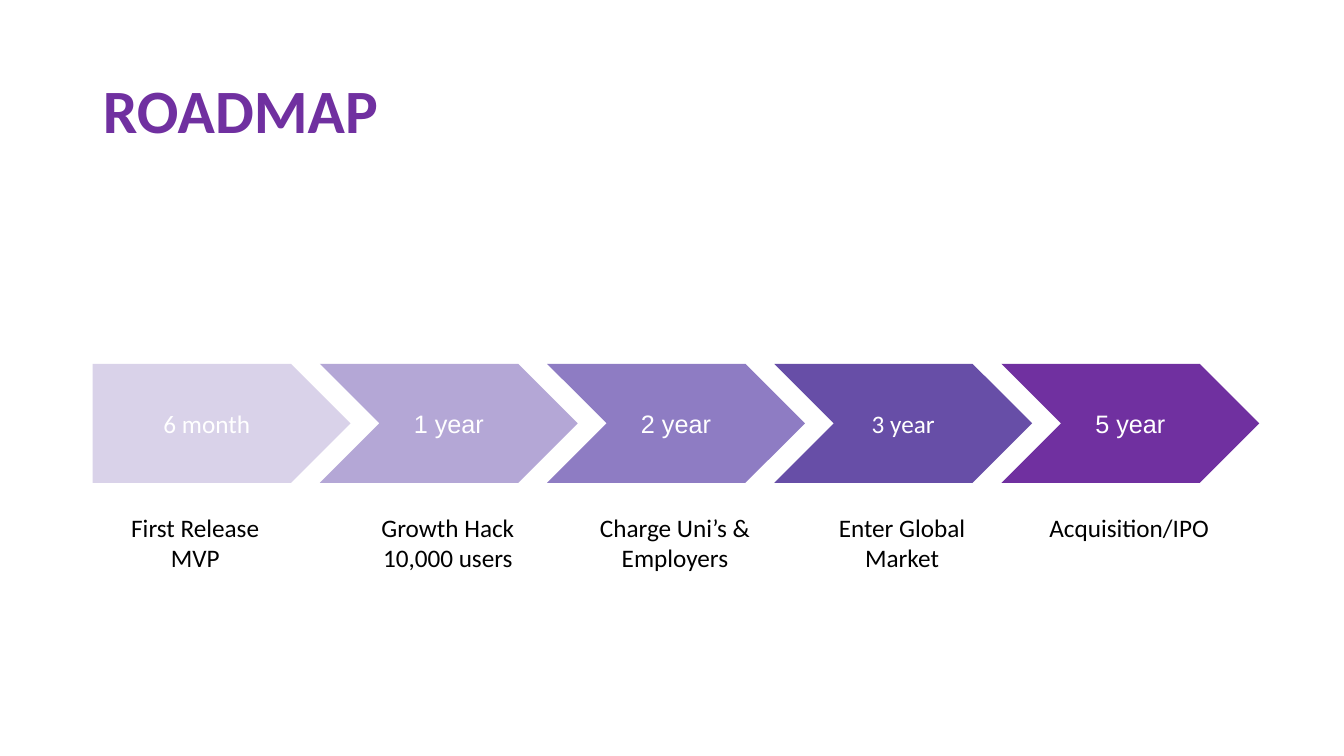
import pptx
import pptx.dml.color
import pptx.enum.shapes
import pptx.enum.text
import pptx.util

WIDTH, HEIGHT = 13.33, 7.5
COLORS = {
    "white": "FFFFFF",
    "black": "000000",
    "month 6": "D9D2E9",
    "year 1": "B4A7D6",
    "year 2": "8E7CC3",
    "year 3": "674EA7",
    "year 5": "7030A0",
}
STAGES = [
    ("6 month", "Calibri", "month 6", ["First Release", "MVP"]),
    ("1 year", "Arial", "year 1", ["Growth Hack", "10,000 users"]),
    ("2 year", "Arial", "year 2", ["Charge Uni’s & Employers"]),
    ("3 year", "Calibri", "year 3", ["Enter Global", "Market"]),
    ("5 year", "Arial", "year 5", ["Acquisition/IPO"]),
]
ALIGN = pptx.enum.text.PP_ALIGN
ANCHOR = pptx.enum.text.MSO_ANCHOR
SHAPE = pptx.enum.shapes.MSO_SHAPE


def inches(box):
    """Convert a box in inches to slide lengths."""
    return [pptx.util.Inches(length) for length in box]


def color(name):
    """Look up a named color."""
    return pptx.dml.color.RGBColor.from_string(COLORS[name])


def write(shape, lines, font="Calibri", size=18, fill="black", bold=False,
          align=ALIGN.CENTER, anchor=ANCHOR.TOP, inset=0.1, spacing=1.0):
    """Write lines as formatted paragraphs into a shape."""
    frame = shape.text_frame
    frame.word_wrap = True
    frame.auto_size = pptx.enum.text.MSO_AUTO_SIZE.NONE
    frame.vertical_anchor = anchor
    frame.margin_left = frame.margin_right = pptx.util.Inches(0.1)
    frame.margin_top = frame.margin_bottom = pptx.util.Inches(inset)
    for index, line in enumerate(lines):
        para = frame.add_paragraph() if index else frame.paragraphs[0]
        para.alignment = align
        para.line_spacing = spacing
        span = para.add_run()
        span.text = line
        span.font.name = font
        span.font.size = pptx.util.Pt(size)
        span.font.bold = bold
        span.font.color.rgb = color(fill)


def add_title(page, box, text):
    """Place the page title in its placeholder."""
    title = page.shapes.title
    title.left, title.top, title.width, title.height = inches(box)
    write(title, [text], size=44, fill="year 5", bold=True, align=ALIGN.LEFT,
          anchor=ANCHOR.MIDDLE, inset=0.05, spacing=0.9)


def add_arrows(page, box, stages):
    """Place a row of overlapping stage arrows across the box."""
    left, top, width, height = box
    arrow_width = width * 0.221
    step = (width - arrow_width) / (len(stages) - 1)
    for index, (label, font, fill, _) in enumerate(stages):
        kind = SHAPE.CHEVRON if index else SHAPE.PENTAGON
        place = inches((left + index * step, top, arrow_width, height))
        arrow = page.shapes.add_shape(kind, *place)
        arrow.adjustments[0] = 0.5
        arrow.shadow.inherit = False
        arrow.fill.solid()
        arrow.fill.fore_color.rgb = color(fill)
        arrow.line.fill.background()
        write(arrow, [label], font=font, fill="white", anchor=ANCHOR.MIDDLE)


def add_captions(page, box, stages):
    """Place a milestone caption under each stage arrow."""
    left, top, width, height = box
    caption_width = width * 0.22
    step = (width - caption_width) / (len(stages) - 1)
    for index, (_, _, _, lines) in enumerate(stages):
        share = 1 if index else 0.8
        place = inches((left + index * step, top, caption_width * share, height))
        write(page.shapes.add_textbox(*place), lines)


def main():
    """Build and save the roadmap deck."""
    deck = pptx.Presentation()
    deck.slide_width, deck.slide_height = inches((WIDTH, HEIGHT))
    page = deck.slides.add_slide(deck.slide_layouts[5])
    left = WIDTH * 0.069
    add_title(page, (left, 0.4, 11.5, 1.45), "ROADMAP")
    add_arrows(page, (left, 3.61, 11.57, 1.18), STAGES)
    add_captions(page, (left, 4.98, 11.55, 0.53), STAGES)
    deck.save("out.pptx")


if __name__ == "__main__":
    main()
